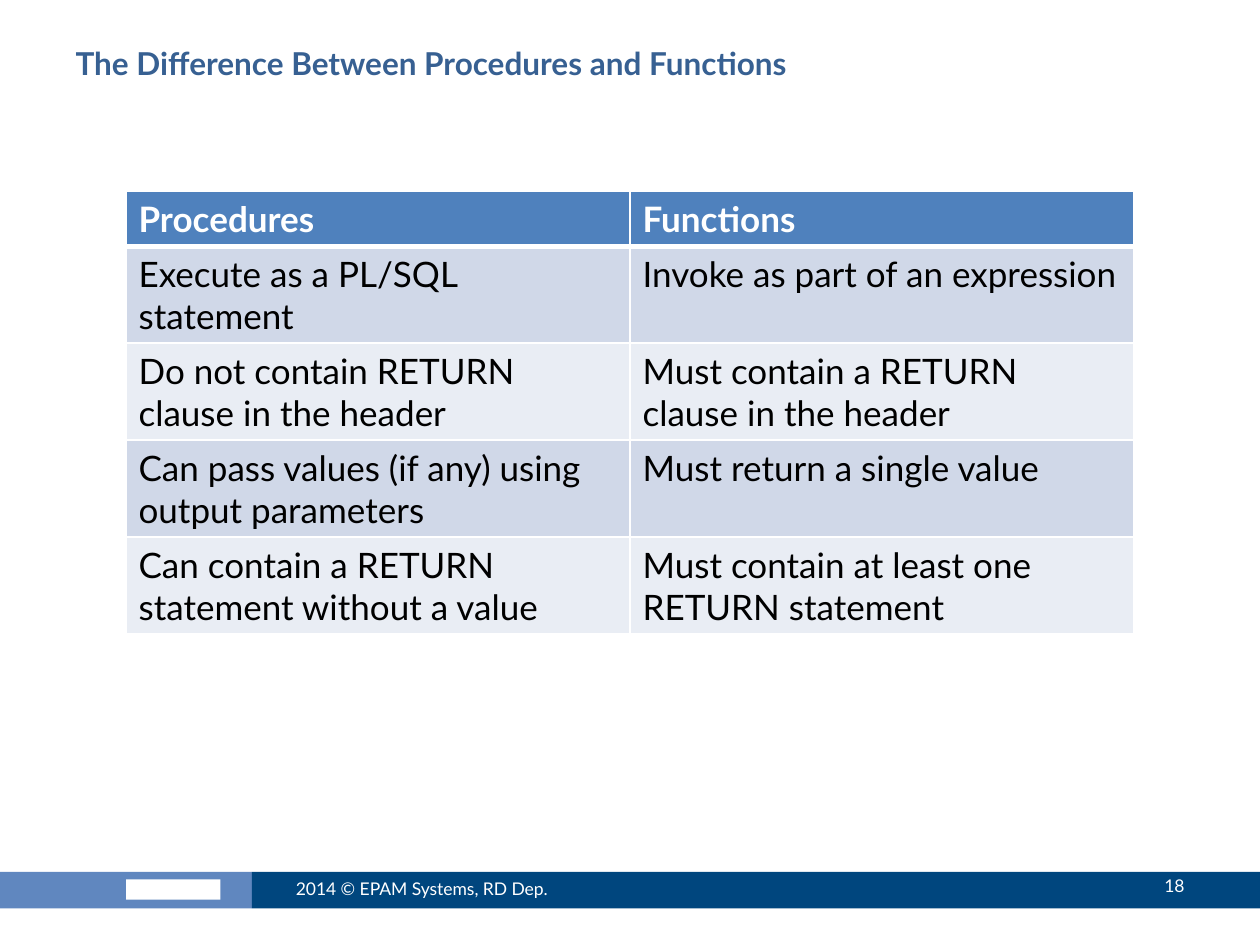
from pptx import Presentation
from pptx.dml.color import RGBColor as RGB
from pptx.enum.shapes import MSO_SHAPE as Shape
from pptx.enum.text import MSO_ANCHOR as Anchor, PP_ALIGN as Align
from pptx.oxml import parse_xml
from pptx.oxml.ns import nsdecls
from pptx.util import Inches, Pt

FONT = "Lato"
WHITE = RGB(0xFF, 0xFF, 0xFF)
BLACK = RGB(0x00, 0x00, 0x00)
TITLE = RGB(0x37, 0x60, 0x92)
HEAD = RGB(0x4F, 0x81, 0xBD)
BANDS = [RGB(0xE9, 0xED, 0xF4), RGB(0xD0, 0xD8, 0xE8)]
LIGHT = RGB(0x60, 0x87, 0xBF)
NAVY = RGB(0x00, 0x46, 0x7E)

ROWS = [
    ("Procedures", "Functions"),
    ("Execute as a PL/SQL statement", "Invoke as part of an expression"),
    ("Do not contain RETURN clause in the header",
     "Must contain a RETURN clause in the header"),
    ("Can pass values (if any) using output parameters",
     "Must return a single value"),
    ("Can contain a RETURN statement without a value",
     "Must contain at least one RETURN statement"),
]


def inch(*box):
    return [Inches(v) for v in box]


def write(frame, text, size, color, bold=False, align=Align.LEFT):
    frame.text = text
    frame.word_wrap = True
    para = frame.paragraphs[0]
    para.alignment = align
    font = para.runs[0].font
    font.name, font.size, font.bold = FONT, Pt(size), bold
    font.color.rgb = color


def block(slide, box, color):
    shape = slide.shapes.add_shape(Shape.RECTANGLE, *inch(*box))
    shape.shadow.inherit = False
    shape.fill.solid()
    shape.fill.fore_color.rgb = color
    shape.line.fill.background()


def label(slide, box, text, align=Align.LEFT):
    frame = slide.shapes.add_textbox(*inch(*box)).text_frame
    frame.vertical_anchor = Anchor.MIDDLE
    write(frame, text, 10, WHITE, align=align)


def edge(cell, low):
    # White rules on all four sides of a cell
    props = cell._tc.get_or_add_tcPr()
    for side, width in (("L", 1), ("R", 1), ("T", 1), ("B", low)):
        props.append(parse_xml(
            f'<a:ln{side} {nsdecls("a")} w="{Pt(width)}"><a:solidFill>'
            f'<a:srgbClr val="{WHITE}"/></a:solidFill></a:ln{side}>'))


def footer(slide, left, top, width, height):
    split = left + width / 5
    block(slide, (left, top, width / 5, height), LIGHT)
    block(slide, (split, top, width * 4 / 5, height), NAVY)
    # Plain mark in place of the logo
    block(slide, (left + width / 10, top + 0.06, 0.75, 0.16), WHITE)
    label(slide, (split + 0.25, top - 0.07, 2.67, 0.4),
          "2014 © EPAM Systems, RD Dep.")
    label(slide, (left + width - 1.58, top - 0.09, 1.08, 0.4),
          "18", Align.RIGHT)


def header(slide, left, top, width, height):
    title = slide.shapes.title
    title.left, title.top, title.width, title.height = inch(
        left, top, width, height)
    title.text_frame.vertical_anchor = Anchor.TOP
    write(title.text_frame, "The Difference Between Procedures and Functions",
          18, TITLE, bold=True)


def compare(slide, left, top, width, height):
    table = slide.shapes.add_table(
        len(ROWS), 2, *inch(left, top, width, height)).table
    first = 0.43
    rest = (height - first) / (len(ROWS) - 1)
    for r, texts in enumerate(ROWS):
        top_row = r == 0
        table.rows[r].height = Inches(first if top_row else rest)
        for c, text in enumerate(texts):
            cell = table.cell(r, c)
            edge(cell, 3 if top_row else 1)
            if r == 1:
                cell._tc.tcPr.find("{*}lnT").set("w", str(Pt(3)))
            cell.fill.solid()
            cell.fill.fore_color.rgb = HEAD if top_row else BANDS[r % 2]
            write(cell.text_frame, text, 20,
                  WHITE if top_row else BLACK, bold=top_row)


def main():
    deck = Presentation()
    deck.slide_width, deck.slide_height = inch(10, 7.5)
    slide = deck.slides.add_slide(deck.slide_layouts[5])
    footer(slide, 0, 6.92, 10, 0.29)
    header(slide, 0.5, 0.3, 9, 0.78)
    compare(slide, 1, 1.52, 8, 3.51)
    deck.save("out.pptx")


if __name__ == "__main__":
    main()
